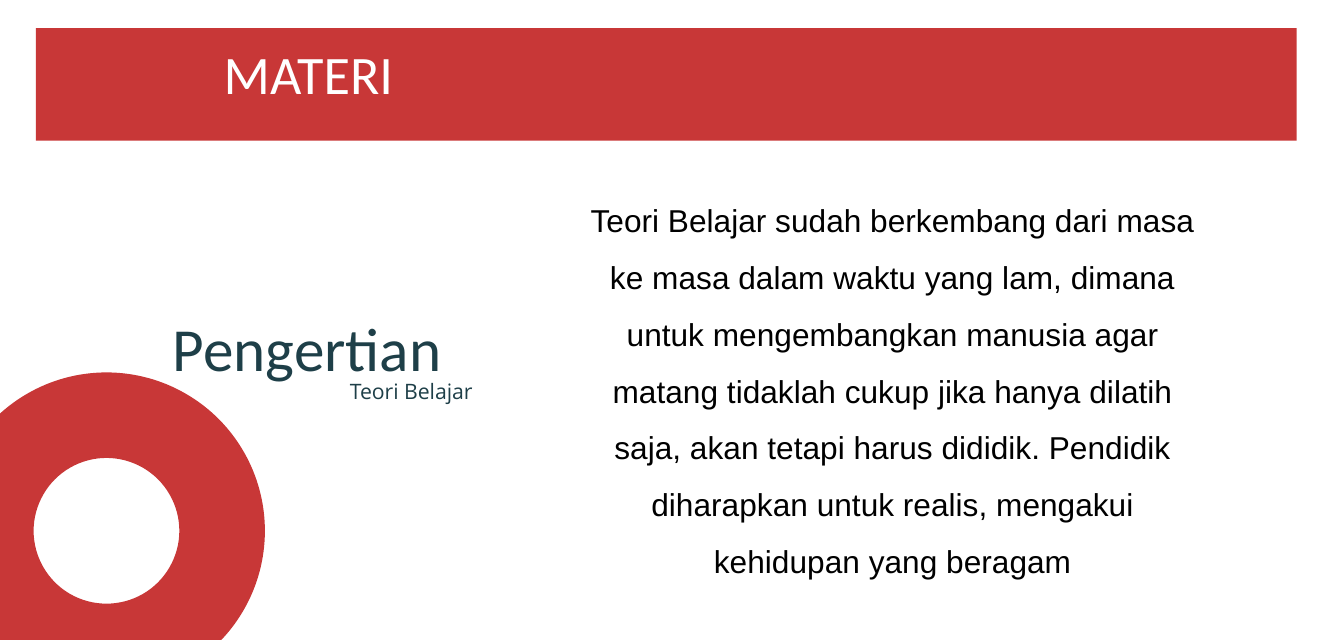
import pptx
import pptx.dml.color
import pptx.enum.shapes
import pptx.enum.text
import pptx.oxml.ns
import pptx.util
from lxml import etree

Cm = pptx.util.Cm
Pt = pptx.util.Pt
RGBColor = pptx.dml.color.RGBColor
MSO_SHAPE = pptx.enum.shapes.MSO_SHAPE

RED = RGBColor(0xC8, 0x37, 0x37)
TEAL = RGBColor(0x1E, 0x3F, 0x48)
WHITE = RGBColor(0xFF, 0xFF, 0xFF)
BLACK = RGBColor(0x00, 0x00, 0x00)


class MaterialSlide:
    def __init__(self, presentation):
        self.slide = presentation.slides.add_slide(presentation.slide_layouts[1])
        self.shapes = self.slide.shapes

    def block(self, preset, left, top, width, height):
        block = self.shapes.add_shape(preset, Cm(left), Cm(top), Cm(width), Cm(height))
        block.shadow.inherit = False
        block.fill.solid()
        block.fill.fore_color.rgb = RED
        block.line.fill.background()
        return block

    def style_text(self, holder, text, size, font, color, spacing):
        frame = holder.text_frame
        frame.text = text
        frame.word_wrap = True
        frame.auto_size = pptx.enum.text.MSO_AUTO_SIZE.NONE
        frame.vertical_anchor = pptx.enum.text.MSO_ANCHOR.TOP
        frame.margin_left = frame.margin_right = 0
        frame.margin_top = frame.margin_bottom = 0
        paragraph = frame.paragraphs[0]
        paragraph.alignment = pptx.enum.text.PP_ALIGN.CENTER
        paragraph.line_spacing = spacing
        paragraph.space_before = Pt(0)
        paragraph.font.size = Pt(size)
        paragraph.font.name = font
        paragraph.font.color.rgb = color
        return paragraph

    def label(self, box, *style):
        return self.style_text(self.shapes.add_textbox(*map(Cm, box)), *style)

    def placeholder(self, index, box, *style):
        holder = self.slide.placeholders[index]
        holder.left, holder.top, holder.width, holder.height = map(Cm, box)
        self.shapes._spTree.append(holder._element)
        return self.style_text(holder, *style)

    def plain_body(self, box, *style):
        properties = self.placeholder(1, box, *style)._p.get_or_add_pPr()
        properties.set("marL", "0")
        properties.set("indent", "0")
        etree.SubElement(properties, pptx.oxml.ns.qn("a:buNone"))
        properties.append(properties.find(pptx.oxml.ns.qn("a:defRPr")))


def main():
    presentation = pptx.Presentation()
    presentation.slide_width = Cm(21)
    presentation.slide_height = Cm(10)
    material = MaterialSlide(presentation)

    material.block(MSO_SHAPE.RECTANGLE, 0.56, 0.44, 19.7, 1.76)
    material.label((2.03, 4.65, 5.54, 1.24), "Pengertian", 27.1, "Calibri", TEAL, Pt(38))
    material.label((4.34, 5.84, 4.17, 0.43), "Teori Belajar", 9.4, "Open Sans", TEAL, Pt(13.2))
    material.plain_body(
        (9.2, 2.84, 9.5, 5.28),
        "Teori Belajar sudah berkembang dari masa ke masa dalam waktu yang lam, "
        "dimana untuk mengembangkan manusia agar matang tidaklah cukup jika hanya "
        "dilatih saja, akan tetapi harus dididik. Pendidik diharapkan untuk realis, "
        "mengakui kehidupan yang beragam",
        14, "Arial", BLACK, 1.5)
    material.placeholder(0, (2.77, 1.14, 4.1, 0.6), "MATERI", 24, "Calibri", WHITE, Pt(14.5))

    ring = material.block(MSO_SHAPE.DONUT, -0.81, 5.82, 4.95, 4.95)
    ring.adjustments[0] = 0.27

    presentation.save("out.pptx")


if __name__ == "__main__":
    main()
